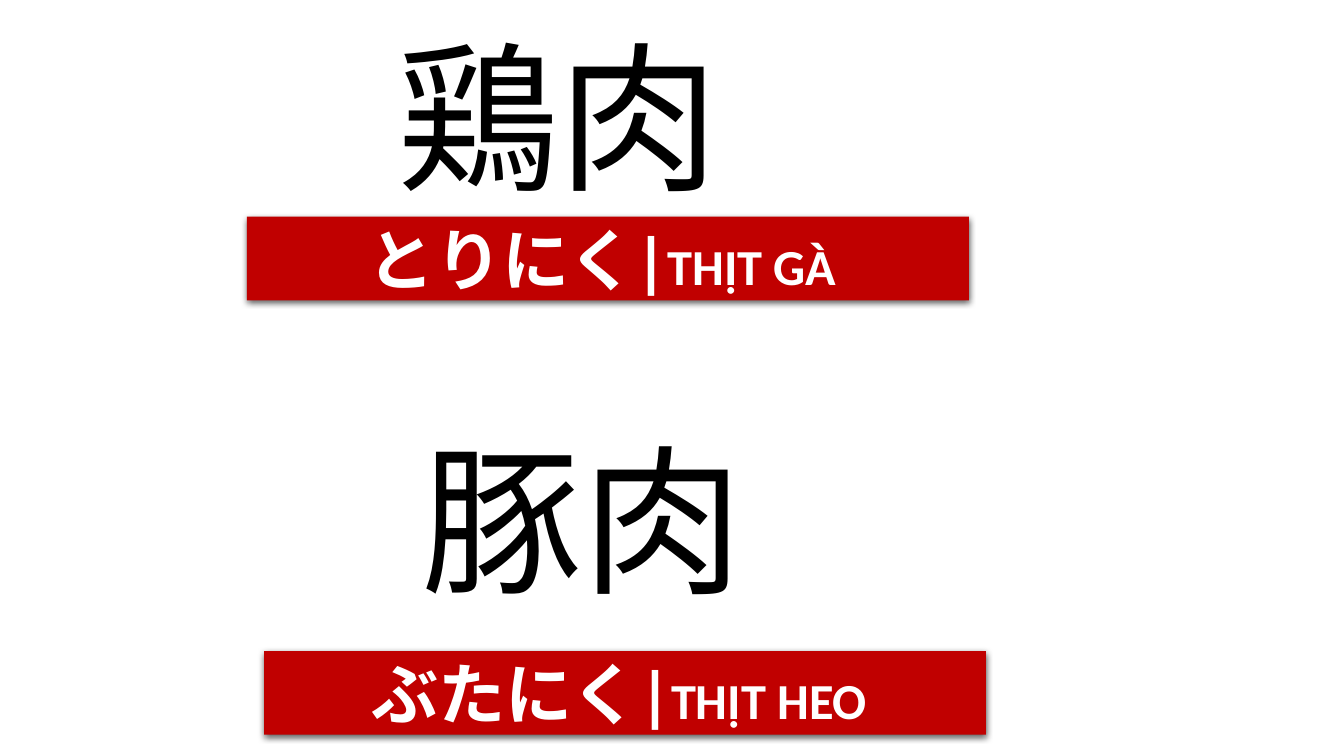
from lxml import etree
from pptx import Presentation
from pptx.dml.color import RGBColor
from pptx.enum.shapes import MSO_SHAPE
from pptx.enum.text import MSO_ANCHOR, PP_ALIGN
from pptx.oxml import parse_xml
from pptx.oxml.ns import nsdecls, qn
from pptx.util import Inches, Pt

COLORS = {"red": "C00000", "white": "FFFFFF", "black": "000000"}
KANJI_FONT = "Noto Sans CJK JP"
WORDS = [
    ("鶏肉", 3.84, 0.34, "とりにく|", "THỊT GÀ ", 2.45, 2.15),
    ("豚肉", 4.08, 4.34, "ぶたにく|", "THỊT HEO ", 2.62, 6.46),
]

prs = Presentation()
prs.slide_width, prs.slide_height = Inches(13.33), Inches(7.5)
s = prs.slides.add_slide(prs.slide_layouts[6])

for kanji, kanji_x, kanji_y, kana, meaning, bar_x, bar_y in WORDS:
    tb = s.shapes.add_textbox(Inches(kanji_x), Inches(kanji_y), Inches(6.15), Inches(2))
    tf = tb.text_frame
    tf.word_wrap = True
    p = tf.paragraphs[0]
    p.line_spacing = 0.9
    r = p.add_run()
    r.text = kanji
    r.font.size = Pt(115)
    r.font.name = KANJI_FONT
    r.font.color.rgb = RGBColor.from_string(COLORS["black"])
    ea = etree.SubElement(r.font._element, qn("a:ea"))
    ea.set("typeface", KANJI_FONT)

    sp = s.shapes.add_shape(MSO_SHAPE.RECTANGLE, Inches(bar_x), Inches(bar_y), Inches(7.16), Inches(0.83))
    sp.fill.solid()
    sp.fill.fore_color.rgb = RGBColor.from_string(COLORS["red"])
    sp.line.fill.background()
    sp._element.spPr.append(parse_xml(
        f'<a:effectLst {nsdecls("a")}>'
        f'<a:outerShdw blurRad="{Pt(4.5)}" dist="{Pt(1.5)}" dir="5400000" rotWithShape="0">'
        f'<a:srgbClr val="{COLORS["black"]}"><a:alpha val="63000"/></a:srgbClr>'
        '</a:outerShdw></a:effectLst>'))
    tf = sp.text_frame
    tf.word_wrap = True
    tf.vertical_anchor = MSO_ANCHOR.MIDDLE
    p = tf.paragraphs[0]
    p.alignment = PP_ALIGN.CENTER
    p.font.name = "Calibri"
    p.font.bold = True
    p.font.color.rgb = RGBColor.from_string(COLORS["white"])
    for text, size in ((kana, 48), (meaning, 36)):
        r = p.add_run()
        r.text = text
        r.font.size = Pt(size)

prs.save("out.pptx")
